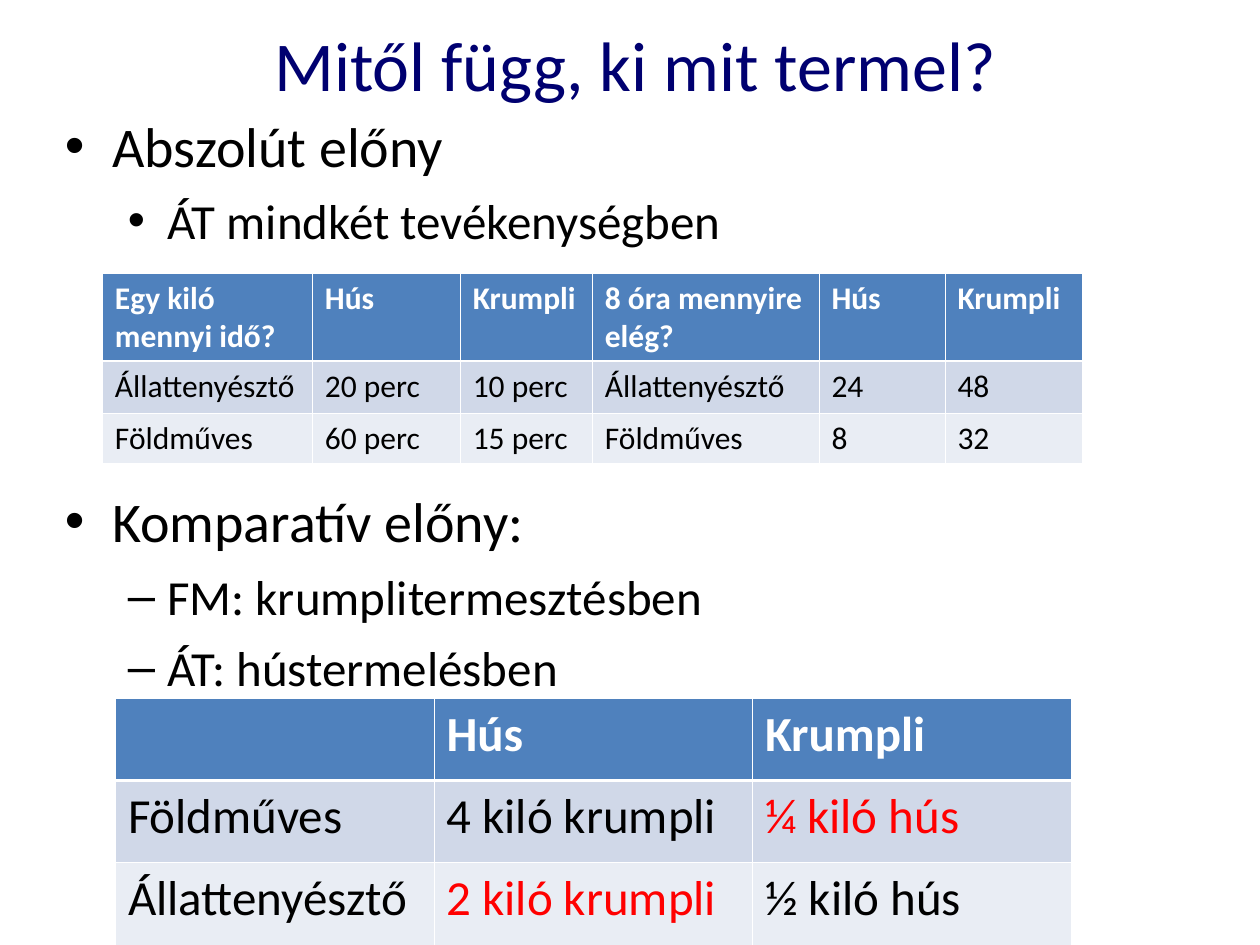
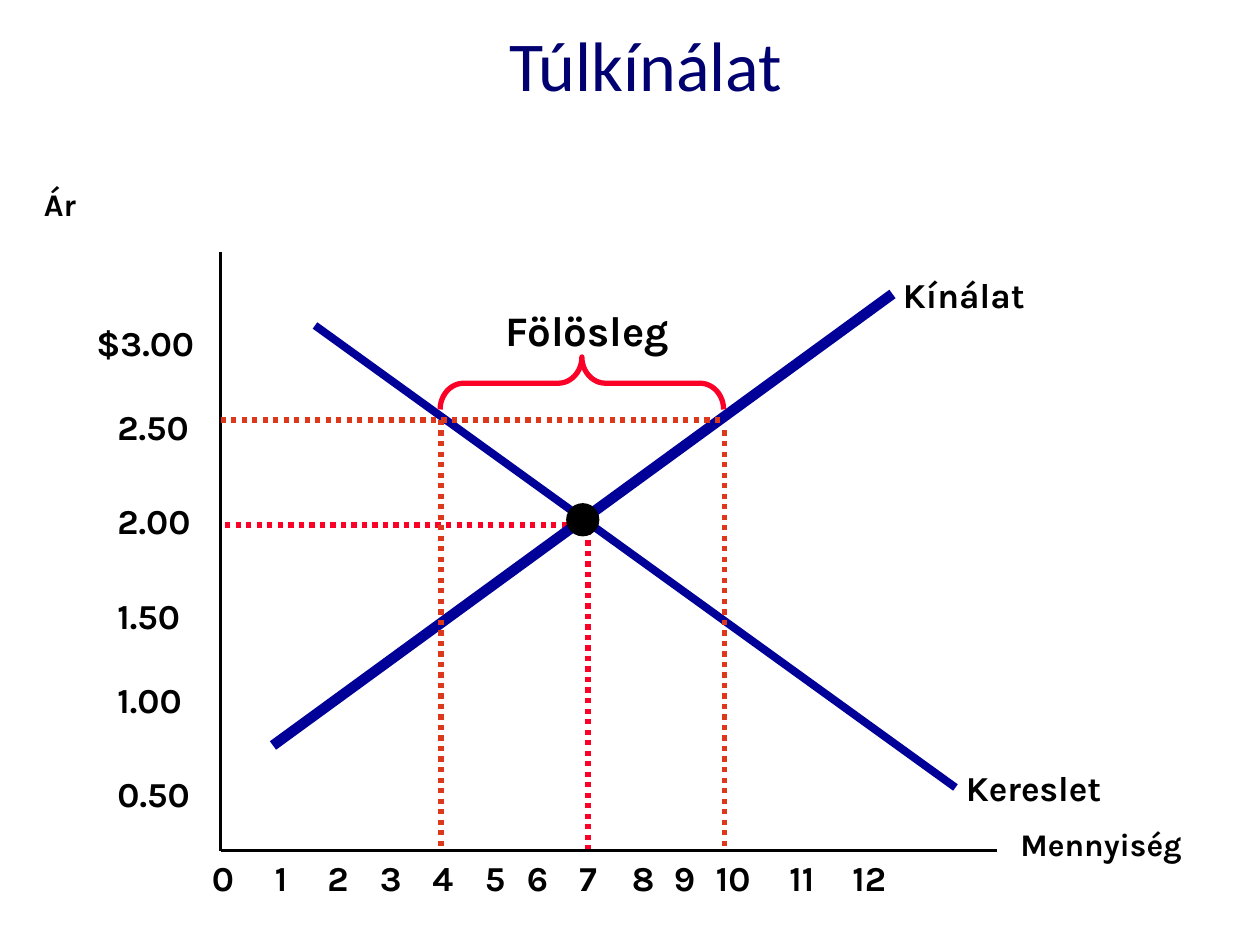
"""Builds two economics slides: comparative advantage tables and an excess supply diagram."""
from lxml import etree
from pptx import Presentation
from pptx.dml.color import RGBColor
from pptx.enum.dml import MSO_LINE
from pptx.enum.shapes import MSO_CONNECTOR, MSO_SHAPE
from pptx.enum.text import MSO_ANCHOR, PP_ALIGN
from pptx.oxml import parse_xml
from pptx.oxml.ns import nsdecls, qn
from pptx.util import Pt

STRAIGHT = MSO_CONNECTOR.STRAIGHT
OVAL, BRACE = MSO_SHAPE.OVAL, MSO_SHAPE.LEFT_BRACE
DOTTED = MSO_LINE.ROUND_DOT
CENTER, MIDDLE = PP_ALIGN.CENTER, MSO_ANCHOR.MIDDLE

rgb = RGBColor.from_string
BODY_FONT, DIAGRAM_FONT = "Calibri", "Karla"
TITLE_BLUE, CURVE_BLUE, HEADER_BLUE = "000070", "000099", "4F81BD"
BAND_FILLS = ["D0D8E8", "E9EDF4"]
BLACK, WHITE, RED = "000000", "FFFFFF", "FF0000"
BALANCE_RED, SURPLUS_RED = "FC0128", "DE381C"


def add_run(paragraph, text, size, font=BODY_FONT, color=BLACK, bold=False):
    run = paragraph.add_run()
    run.text = text
    run.font.size = Pt(size)
    run.font.name = font
    run.font.bold = bold
    run.font.color.rgb = rgb(color)


def add_frame(slide, left, top, width, height, wrap=True):
    frame = slide.shapes.add_textbox(Pt(left), Pt(top), Pt(width), Pt(height)).text_frame
    frame.word_wrap = wrap
    if not wrap:
        frame.margin_left = frame.margin_right = frame.margin_top = frame.margin_bottom = 0
    return frame


prs = Presentation()
prs.slide_width, prs.slide_height = Pt(720), Pt(540)
blank = prs.slide_layouts[6]
advantage, surplus = [prs.slides.add_slide(blank) for _ in range(2)]

for slide, title, width in [
    (advantage, "Mitől függ, ki mit termel?", 690),
    (surplus, "Túlkínálat", 702),
]:
    heading = add_frame(slide, 18, 6, width, 60)
    heading.vertical_anchor = MIDDLE
    heading.paragraphs[0].alignment = CENTER
    add_run(heading.paragraphs[0], title, 40, color=TITLE_BLUE)

advantages = [
    (60, 94, [("•", "Abszolút előny", 0), ("•", "ÁT mindkét tevékenységben", 1)]),
    (274.5, 125, [
        ("•", "Komparatív előny:", 0),
        ("–", "FM: krumplitermesztésben", 1),
        ("–", "ÁT: hústermelésben", 1),
    ]),
]
levels = [(27, 27, 32, 8), (58.5, 22.5, 28, 7)]
for top, height, points in advantages:
    frame = add_frame(advantage, 30, top, 672, height)
    for index, (bullet, text, level) in enumerate(points):
        indent, hanging, size, gap = levels[level]
        point = frame.add_paragraph() if index else frame.paragraphs[0]
        props = point._p.get_or_add_pPr()
        props.set("marL", str(Pt(indent)))
        props.set("indent", str(-Pt(hanging)))
        etree.SubElement(props, qn("a:buFont")).set("typeface", "Arial")
        etree.SubElement(props, qn("a:buChar")).set("char", bullet)
        point.level = level
        if index:
            point.space_before = Pt(gap)
        add_run(point, text, size)

opportunity_costs = [
    ["", "Hús", "Krumpli"],
    ["Földműves", "4 kiló krumpli", "¼ kiló hús"],
    ["Állattenyésztő", "2 kiló krumpli", "½ kiló hús"],
]
production = [
    ["Egy kiló mennyi idő?", "Hús", "Krumpli", "8 óra mennyire elég?", "Hús", "Krumpli"],
    ["Állattenyésztő", "20 perc", "10 perc", "Állattenyésztő", "24", "48"],
    ["Földműves", "60 perc", "15 perc", "Földműves", "8", "32"],
]
cheaper = ["¼ kiló hús", "2 kiló krumpli"]
for rows, left, top, widths, heights, size in [
    (opportunity_costs, 66, 399, [182] * 3, [47] * 3, 28),
    (production, 58.5, 156, [120, 84.5, 75.5, 129.5, 72, 78.5], [50.5, 29.5, 29], 18),
]:
    table = advantage.shapes.add_table(
        len(rows), len(widths), Pt(left), Pt(top), Pt(sum(widths)), Pt(sum(heights))
    ).table
    table.horz_banding = False
    for column, width in zip(table.columns, widths):
        column.width = Pt(width)
    for r, (row, height) in enumerate(zip(rows, heights)):
        table.rows[r].height = Pt(height)
        for c, text in enumerate(row):
            cell = table.cell(r, c)
            cell.fill.solid()
            cell.fill.fore_color.rgb = rgb(BAND_FILLS[r - 1] if r else HEADER_BLUE)
            if text:
                color = WHITE if r == 0 else RED if text in cheaper else BLACK
                add_run(cell.text_frame.paragraphs[0], text, size, color=color, bold=r == 0)
            sides = {"L": 0.45, "R": 0.45, "T": 1.47 if r == 1 else 0.45, "B": 0.45 if r else 1.47}
            for position, (side, weight) in enumerate(sides.items()):
                cell._tc.get_or_add_tcPr().insert(position, parse_xml(
                    f'<a:ln{side} {nsdecls("a")} w="{Pt(weight)}"><a:solidFill>'
                    f'<a:srgbClr val="{WHITE}"/></a:solidFill></a:ln{side}>'
                ))

axis_x, axis_y = 126, 486
balance_x, balance_y = 336, 300
demand_x, supply_x, surplus_y = 252, 414, 240
for x1, y1, x2, y2, color, weight, dash in [
    (balance_x, balance_y, axis_x, balance_y, BALANCE_RED, 3, DOTTED),
    (balance_x, axis_y, balance_x, balance_y, BALANCE_RED, 3, DOTTED),
    (axis_x, 144, axis_x, axis_y, BLACK, 2.25, None),
    (axis_x, axis_y, 570, axis_y, BLACK, 2.25, None),
    (156, 426, 510, 168, CURVE_BLUE, 6, None),
    (180, 186, 546, 450, CURVE_BLUE, 4.5, None),
    (axis_x, surplus_y, supply_x, surplus_y, SURPLUS_RED, 3, DOTTED),
    (demand_x, surplus_y, demand_x, axis_y, SURPLUS_RED, 3, DOTTED),
    (supply_x, 246, supply_x, axis_y, SURPLUS_RED, 3, DOTTED),
]:
    line = surplus.shapes.add_connector(STRAIGHT, Pt(x1), Pt(y1), Pt(x2), Pt(y2))
    line.line.color.rgb = rgb(color)
    line.line.width = Pt(weight)
    if dash:
        line.line.dash_style = dash
    etree.SubElement(line._element.spPr, qn("a:effectLst"))

equilibrium = surplus.shapes.add_shape(OVAL, Pt(324), Pt(288), Pt(18), Pt(18))
equilibrium.shadow.inherit = False
equilibrium.fill.solid()
equilibrium.fill.fore_color.rgb = rgb(BLACK)
equilibrium.line.color.rgb = rgb(BLACK)
equilibrium.line.width = Pt(1)

surplus_brace = surplus.shapes.add_shape(BRACE, Pt(317.5), Pt(138), Pt(30), Pt(162))
surplus_brace.rotation = 90
surplus_brace.adjustments[0] = 0.45
surplus_brace.shadow.inherit = False
surplus_brace.fill.background()
surplus_brace.line.color.rgb = rgb(BALANCE_RED)
surplus_brace.line.width = Pt(3)

labels = [
    ("Ár", 18, 102, 120, 29, 18, True),
    ("Mennyiség", 576, 468, 120, 29, 18, True),
    ("Kínálat", 516, 156, 72, 24, 20, False),
    ("Kereslet", 552, 438, 83, 24, 20, False),
    ("Fölösleg", 289, 174, 98.5, 29, 24, False),
    ("$3.00", 48, 180, 72, 31.5, 20, True),
]
for price, top in zip(["2.50", "2.00", "1.50", "1.00", "0.50"], [228, 282, 336, 384, 438]):
    labels.append((price, 60, top, 60, 31.5, 20, True))
quantity_lefts = [114, 150, 180, 210, 240, 270, 294, 324, 354, 378, 402, 444, 480]
for quantity, left in enumerate(quantity_lefts):
    labels.append((str(quantity), left, axis_y, 36 if quantity < 9 else 42, 31.5, 20, True))
for text, left, top, width, height, size, wrap in labels:
    label = add_frame(surplus, left, top, width, height, wrap)
    add_run(label.paragraphs[0], text, size, DIAGRAM_FONT, bold=True)

prs.save("out.pptx")
